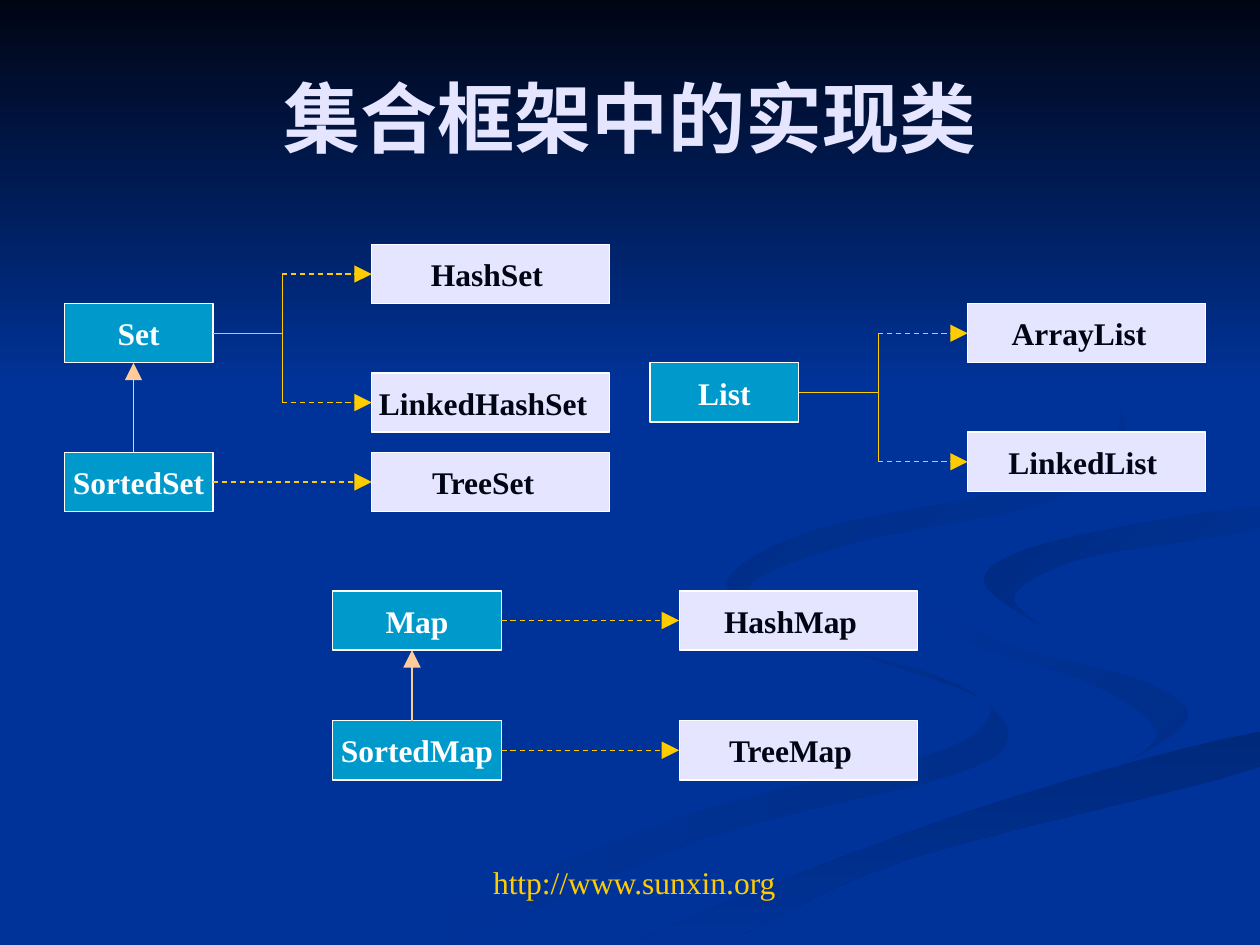
from lxml import etree
from pptx import Presentation
from pptx.dml.color import RGBColor
from pptx.enum.dml import MSO_LINE
from pptx.enum.shapes import MSO_CONNECTOR, MSO_SHAPE
from pptx.enum.text import MSO_ANCHOR, PP_ALIGN
from pptx.oxml.ns import qn
from pptx.util import Inches, Pt

RECTANGLE = MSO_SHAPE.RECTANGLE
STRAIGHT = MSO_CONNECTOR.STRAIGHT
DASH = MSO_LINE.DASH
MIDDLE = MSO_ANCHOR.MIDDLE
CENTER = PP_ALIGN.CENTER

FONT = "Times New Roman"
COLORS = {
    "background": "003399",
    "night": "000514",
    "interface": "0099CC",
    "class": "E5E5FF",
    "white": "FFFFFF",
    "gold": "FFCC00",
    "peach": "FFCC99",
    "swirl": "002E8A",
    "band": "00297C",
    "curl": "002B81",
}
BOX_HEIGHT = 0.47
WIDTHS = {"narrow": 1.18, "medium": 1.34, "class": 1.89}
SPACE_WIDTH = 0.06
BRANCH_GAP = 0.71


def shade(shape, first, last, angle):
    """Fill with a two-colour gradient at a clockwise angle, without outline."""
    shape.shadow.inherit = False
    shape.line.fill.background()
    shape.fill.gradient()
    shape.fill.gradient_angle = 360 - angle
    for position, name in enumerate((first, last)):
        stop = shape.fill.gradient_stops[position]
        stop.position = position
        stop.color.rgb = RGBColor.from_string(COLORS[name])


def write(shape, text, size, color_name, bold):
    frame = shape.text_frame
    frame.vertical_anchor = MIDDLE
    paragraph = frame.paragraphs[0]
    paragraph.text = text
    paragraph.alignment = CENTER
    paragraph.font.name = FONT
    paragraph.font.size = Pt(size)
    paragraph.font.bold = bold
    paragraph.font.color.rgb = RGBColor.from_string(COLORS[color_name])


presentation = Presentation()
presentation.slide_width = Inches(10)
presentation.slide_height = Inches(7.5)
slide = presentation.slides.add_slide(presentation.slide_layouts[6])
slide.background.fill.solid()
slide.background.fill.fore_color.rgb = RGBColor.from_string(COLORS["background"])
shapes = slide.shapes

# Background ribbons: first colour, last colour, angle, points of a smooth outline
ribbons = [
    ("swirl", "background", 180, [
        (6.8, 5.19), (7.62, 5.47), (7.86, 5.66), (7.4, 5.98), (5.4, 6.49),
        (3, 7.49), (3.6, 7.49), (5.6, 6.65), (7.6, 6.14), (8, 5.81), (7.6, 5.43)]),
    ("swirl", "background", 225, [
        (9.43, 5.7), (9.05, 5.4), (7.9, 5.09), (7.24, 4.64), (7.46, 5),
        (8.7, 5.44), (9.18, 5.81), (8.94, 6.05)]),
    ("band", "background", 90, [
        (5.03, 7.49), (5.7, 7.49), (7.2, 6.82), (9.98, 6.09), (9.98, 5.81),
        (7.6, 6.47)]),
    ("background", "curl", 225, [
        (7.81, 4.6), (8.26, 4.96), (8.05, 4.72), (8.6, 4.43), (9.98, 4.2),
        (9.98, 4.02), (8.35, 4.3)]),
    ("background", "curl", 225, [
        (6.8, 4.3), (8.4, 3.96), (8.94, 3.44), (8.5, 2.8), (7.62, 2.33),
        (8.5, 2.82), (8.89, 3.35), (8.3, 3.82), (6.5, 4.2), (5.77, 4.62),
        (6.22, 5), (5.94, 4.65)]),
]
STEPS = 6
for first, last, angle, corners in ribbons:
    outline = []
    for index, start in enumerate(corners):
        before = corners[index - 1]
        end, after = [corners[(index + ahead) % len(corners)] for ahead in (1, 2)]
        for step in range(STEPS):
            t = step / STEPS
            outline.append([
                Inches(b + t / 2 * (c - a + t * (2 * a - 5 * b + 4 * c - d
                                                + t * (3 * (b - c) + d - a))))
                for a, b, c, d in zip(before, start, end, after)])
    builder = shapes.build_freeform(*outline[0])
    builder.add_line_segments(outline[1:])
    shade(builder.convert_to_shape(), first, last, angle)

sky = shapes.add_shape(RECTANGLE, 0, 0, presentation.slide_width, Inches(3.08))
shade(sky, "night", "background", 90)

title = shapes.add_textbox(Inches(0.5), Inches(0.3), Inches(9), Inches(1.25))
title.text_frame.word_wrap = True
write(title, "集合框架中的实现类", 44, "class", True)

# Boxes: label -> left, top, width name, leftward shift in space widths
boxes = {
    "SortedSet": (0.51, 3.59, "narrow", 0),
    "Set": (0.51, 2.41, "narrow", 0),
    "List": (5.16, 2.88, "narrow", 0),
    "Map": (2.64, 4.69, "medium", 0),
    "SortedMap": (2.64, 5.72, "medium", 0),
    "HashSet": (2.95, 1.94, "class", 1),
    "LinkedHashSet": (2.95, 2.96, "class", 2),
    "TreeSet": (2.95, 3.59, "class", 2),
    "ArrayList": (7.68, 2.41, "class", 2),
    "LinkedList": (7.68, 3.43, "class", 1),
    "HashMap": (5.39, 4.69, "class", 2),
    "TreeMap": (5.39, 5.72, "class", 2),
}
for label, (left, top, width, shift) in boxes.items():
    is_class = width == "class"
    box = shapes.add_shape(RECTANGLE, Inches(left), Inches(top),
                           Inches(WIDTHS[width]), Inches(BOX_HEIGHT))
    box.shadow.inherit = False
    box.fill.solid()
    box.fill.fore_color.rgb = RGBColor.from_string(
        COLORS["class" if is_class else "interface"])
    box.line.color.rgb = RGBColor.from_string(COLORS["white"])
    box.line.width = Pt(0.75)
    box.text_frame.word_wrap = False
    box.text_frame.margin_right = Inches(0.1 + SPACE_WIDTH * shift)
    write(box, label, 18, "night" if is_class else "white", True)

implementations = {
    "Set": ["HashSet", "LinkedHashSet"],
    "SortedSet": ["TreeSet"],
    "List": ["ArrayList", "LinkedList"],
    "Map": ["HashMap"],
    "SortedMap": ["TreeMap"],
}
lines = []
for parent, children in implementations.items():
    left, top, width, _ = boxes[parent]
    right = left + WIDTHS[width]
    middle = top + BOX_HEIGHT / 2
    target = boxes[children[0]][0]
    heights = [boxes[child][1] + BOX_HEIGHT / 2 for child in children]
    if len(children) > 1:
        branch = target - BRANCH_GAP
        lines.append((right, middle, branch, middle, "branch"))
        lines.append((branch, heights[0], branch, heights[-1], "branch"))
        right = branch
    for height in heights:
        lines.append((right, height, target, height, "implements"))
for child, parent in (("SortedSet", "Set"), ("SortedMap", "Map")):
    left, top, width, _ = boxes[child]
    x = left + WIDTHS[width] / 2 - 0.04
    lines.append((x, top, x, boxes[parent][1] + BOX_HEIGHT, "extends"))

for *ends, kind in lines:
    connector = shapes.add_connector(STRAIGHT, *[Inches(end) for end in ends])
    connector.line.color.rgb = RGBColor.from_string(
        COLORS["peach" if kind == "extends" else "gold"])
    connector.line.width = Pt(0.75)
    if kind == "implements":
        connector.line.dash_style = DASH
    properties = connector._element.spPr
    if kind != "branch":
        etree.SubElement(properties.find(qn("a:ln")), qn("a:tailEnd"),
                         type="triangle", w="lg", len="lg")
    etree.SubElement(properties, qn("a:effectLst"))

footer = shapes.add_textbox(Inches(1.77), Inches(6.8), Inches(6.53), Inches(0.4))
footer.text_frame.word_wrap = True
write(footer, "http://www.sunxin.org", 18, "gold", False)

presentation.save("out.pptx")
